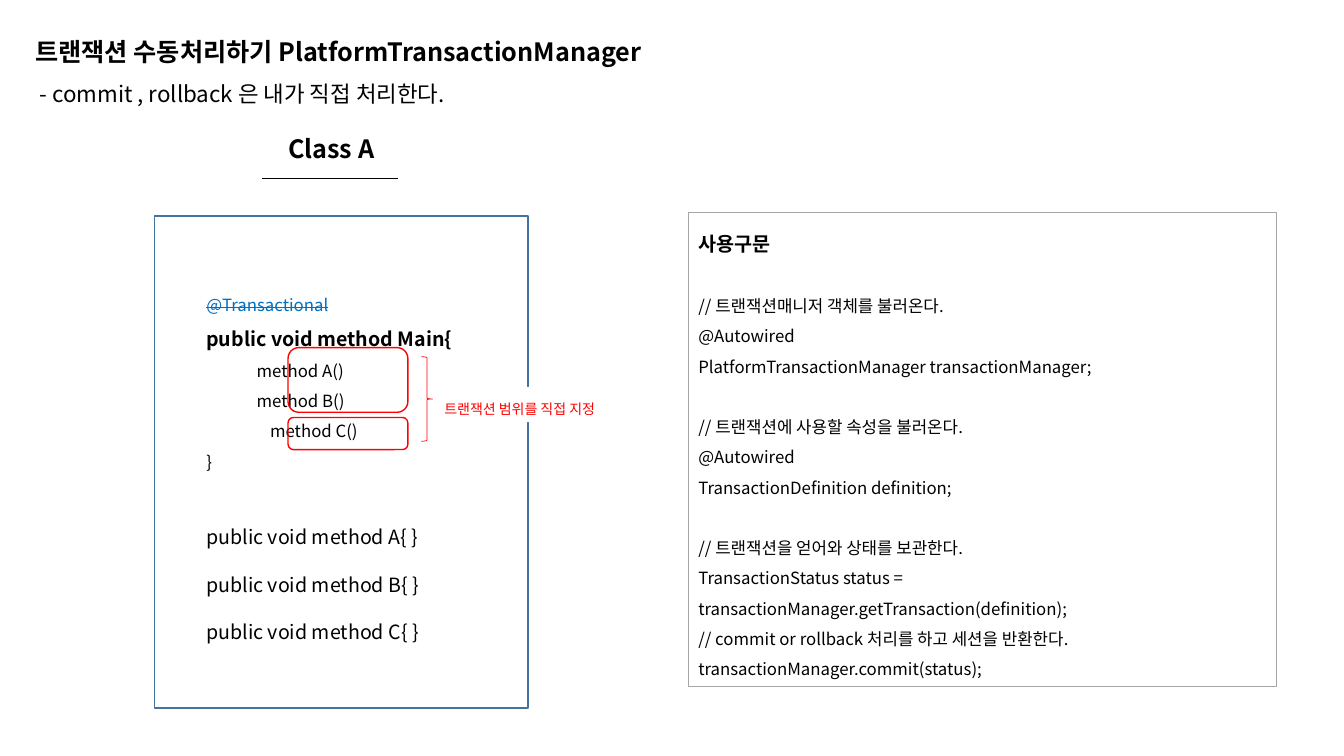
from lxml import etree
from pptx import Presentation
from pptx import util as u
from pptx.dml.color import RGBColor
from pptx.enum import shapes, text
from pptx.oxml.ns import qn

FONT = "Noto Sans CJK KR"
COLORS = {
    "black": "000000",
    "blue": "0070C0",
    "frame": "43739E",
    "red": "FF0000",
    "grey": "A6A6A6",
    "white": "FFFFFF",
}

deck = Presentation()
deck.slide_width, deck.slide_height = u.Cm(33.87), u.Cm(19.05)
page = deck.slides.add_slide(deck.slide_layouts[6])


def add_outline(kind, place, line=None, width=1, fill=None):
    shape = page.shapes.add_shape(kind, *[u.Cm(length) for length in place])
    shape.shadow.inherit = False
    if fill:
        shape.fill.solid()
        shape.fill.fore_color.rgb = RGBColor.from_string(COLORS[fill])
    else:
        shape.fill.background()
    if line:
        shape.line.color.rgb = RGBColor.from_string(COLORS[line])
        shape.line.width = u.Pt(width)
    else:
        shape.line.fill.background()
    return shape


def write(box, lines, spacing=1.0, wrap=False):
    frame = box.text_frame
    frame.word_wrap = wrap
    frame.auto_size = text.MSO_AUTO_SIZE.SHAPE_TO_FIT_TEXT
    for number, (wording, size, bold, color, gap) in enumerate(lines):
        para = frame.add_paragraph() if number else frame.paragraphs[0]
        para.text = wording
        para.alignment = text.PP_ALIGN.LEFT
        para.line_spacing = spacing
        if gap:
            para.space_before = u.Pt(gap)
        for span in para.runs:
            span.font.name = FONT
            span.font.size = u.Pt(size)
            span.font.bold = bold
            span.font.color.rgb = RGBColor.from_string(COLORS[color])
            etree.SubElement(span.font._element, qn("a:ea")).set("typeface", FONT)


add_outline(shapes.MSO_SHAPE.RECTANGLE, (3.89, 5.44, 9.42, 12.4), "frame")

class_name = page.shapes.add_textbox(u.Cm(7.01), u.Cm(3.23), u.Cm(2.72), u.Cm(1.02))
write(class_name, [("Class A", 18, True, "black", 0)])

underline = page.shapes.add_connector(
    shapes.MSO_CONNECTOR.STRAIGHT, u.Cm(6.6), u.Cm(4.5), u.Cm(10.03), u.Cm(4.5))
underline.line.color.rgb = RGBColor.from_string(COLORS["black"])
underline.line.width = u.Pt(0.5)
etree.SubElement(underline._element.spPr, qn("a:effectLst"))

main_method = page.shapes.add_textbox(u.Cm(4.95), u.Cm(7.06), u.Cm(6.73), u.Cm(5))
write(main_method, [
    ("@Transactional", 12, False, "blue", 0),
    ("public void method Main{", 14, True, "black", 0),
    ("\tmethod A()", 12, False, "black", 0),
    ("\tmethod B()", 12, False, "black", 0),
    ("                 method C()", 12, False, "black", 0),
    ("}", 12, False, "black", 0),
], spacing=1.5)
annotation = main_method.text_frame.paragraphs[0].runs[0]
annotation.font._element.set("strike", "sngStrike")

methods = page.shapes.add_textbox(u.Cm(4.95), u.Cm(13.11), u.Cm(6.12), u.Cm(3.84))
write(methods, [
    (f"public void method {letter}{{ }}", 14, False, "black", gap)
    for letter, gap in (("A", 0), ("B", 17), ("C", 17))
])

heading = page.shapes.add_textbox(u.Cm(0.64), u.Cm(0.41), u.Cm(25.37), u.Cm(2.31))
write(heading, [
    ("트랜잭션 수동처리하기 PlatformTransactionManager", 18, True, "black", 0),
    ("- commit , rollback 은 내가 직접 처리한다.", 16, False, "black", 0),
], spacing=1.5, wrap=True)
heading.text_frame.paragraphs[1]._p.get_or_add_pPr().set("marL", str(u.Cm(0.11)))

add_outline(shapes.MSO_SHAPE.ROUNDED_RECTANGLE, (7.26, 8.76, 3.02, 1.63), "red")
range_label = add_outline(
    shapes.MSO_SHAPE.RECTANGLE, (10.95, 9.75, 4.8, 0.89), fill="white")
write(range_label, [("트랜잭션 범위를 직접 지정", 10, False, "red", 0)], spacing=1.5)
add_outline(shapes.MSO_SHAPE.ROUNDED_RECTANGLE, (7.26, 10.52, 3.02, 0.81), "red")
add_outline(shapes.MSO_SHAPE.RIGHT_BRACE, (10.62, 8.99, 0.28, 2.13), "red", 0.5)

usage = add_outline(
    shapes.MSO_SHAPE.RECTANGLE, (17.35, 5.36, 14.83, 11.94), "grey", 0.75)
blocks = [
    ["// 트랜잭션매니저 객체를 불러온다.",
     "@Autowired",
     "PlatformTransactionManager transactionManager;"],
    ["// 트랜잭션에 사용할 속성을 불러온다.",
     "@Autowired",
     "TransactionDefinition definition;"],
    ["// 트랜잭션을 얻어와 상태를 보관한다.",
     "TransactionStatus status = transactionManager.getTransaction(definition);",
     "// commit or rollback 처리를 하고 세션을 반환한다.",
     "transactionManager.commit(status);"],
]
usage_lines = [("사용구문", 14, True, "black", 0)]
for block in blocks:
    for number, wording in enumerate(block):
        usage_lines.append((wording, 12, False, "black", 0 if number else 21.6))
write(usage, usage_lines, spacing=1.5, wrap=True)

deck.save("out.pptx")
